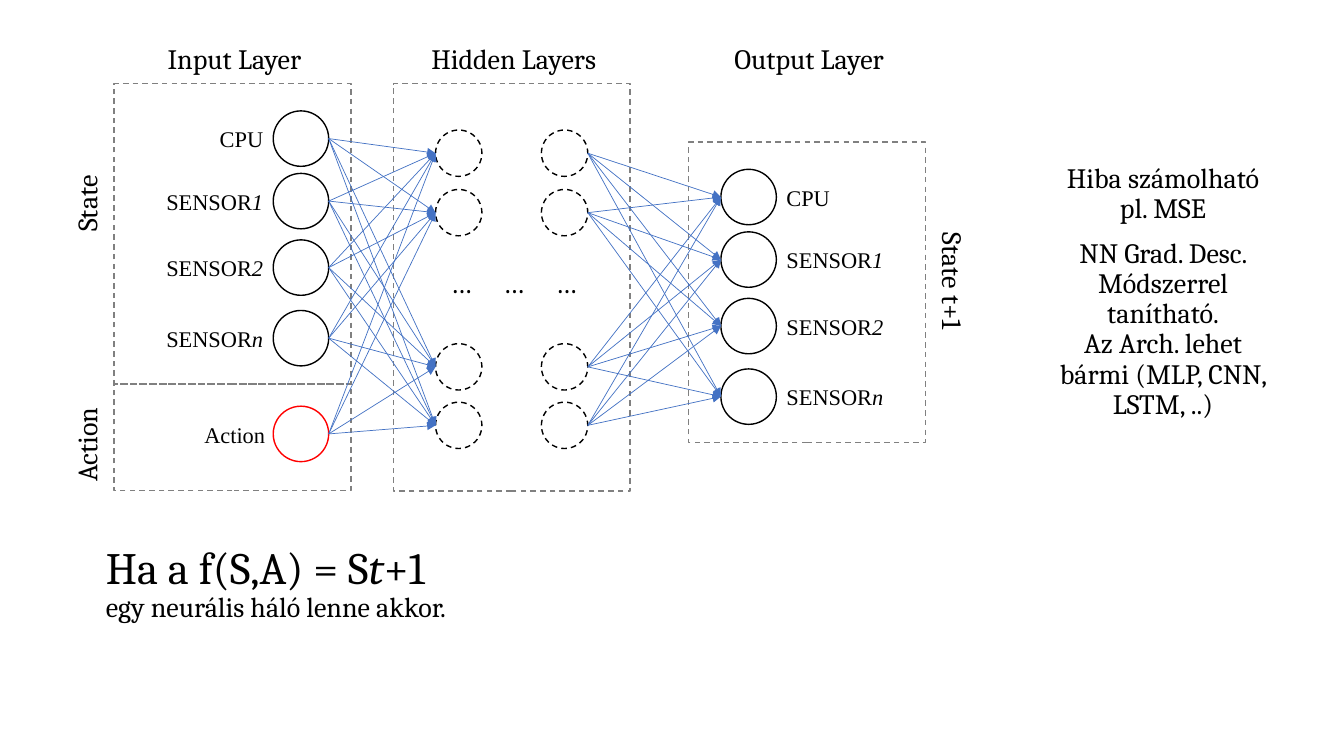
from lxml import etree
from pptx import Presentation
from pptx.dml.color import RGBColor
from pptx.enum.dml import MSO_LINE
from pptx.enum.shapes import MSO_CONNECTOR, MSO_SHAPE
from pptx.enum.text import MSO_ANCHOR, MSO_AUTO_SIZE, PP_ALIGN
from pptx.oxml.ns import qn
from pptx.util import Pt

PX = 9144
COLORS = {"ink": "000000", "action": "FF0000", "frame": "808080", "link": "4472C4"}
SERIF, TIMES = "Cambria", "Times New Roman"
LEFT, CENTER, RIGHT = PP_ALIGN.LEFT, PP_ALIGN.CENTER, PP_ALIGN.RIGHT
TOP, MIDDLE = MSO_ANCHOR.TOP, MSO_ANCHOR.MIDDLE
OVAL, RECT = MSO_SHAPE.OVAL, MSO_SHAPE.RECTANGLE
DASH, STRAIGHT = MSO_LINE.DASH, MSO_CONNECTOR.STRAIGHT

NODE, HIDDEN_NODE = 55, 46
NODE_TOPS = (27, 89, 155, 225)
HIDDEN_TOPS = (46, 105, 258, 316)
STATE_LABELS = (
    [("CPU", False)],
    [("SENSOR", False), ("1", True)],
    [("SENSOR", False), ("2", True)],
    [("SENSOR", False), ("n", True)],
)


def rgb(name):
    """Return a named colour."""
    return RGBColor.from_string(COLORS[name])


def emu(*lengths):
    """Turn px lengths into EMU."""
    return [n * PX for n in lengths]


def write(sp, paragraphs, size=20, font=SERIF, align=CENTER, anchor=MIDDLE):
    """Fill a shape with paragraphs of (text, italic[, size]) runs."""
    tf = sp.text_frame
    tf.word_wrap = True
    tf.auto_size = MSO_AUTO_SIZE.NONE
    tf.vertical_anchor = anchor
    tf.margin_left, tf.margin_top, tf.margin_right, tf.margin_bottom = emu(12, 8, 8, 4)
    for i, runs in enumerate(paragraphs):
        p = tf.add_paragraph() if i else tf.paragraphs[0]
        p.alignment = align
        p.line_spacing = 0.9
        p.space_before = Pt(10 if i else 0)
        for text, italic, *own_size in runs:
            points = own_size[0] if own_size else size
            if text == "\n":
                p.add_line_break()
                etree.SubElement(p._p[-1], qn("a:rPr"), sz=str(points * 100))
                continue
            r = p.add_run()
            r.text = text
            r.font.size = Pt(points)
            r.font.name = font
            r.font.italic = italic
            r.font.color.rgb = rgb("ink")


def add_text(s, box, paragraphs, rotation=0, **style):
    """Add a text box, optionally rotated."""
    sp = s.shapes.add_textbox(*emu(*box))
    sp.rotation = rotation
    write(sp, paragraphs, **style)


def add_outline(s, kind, box, color, dashed=False):
    """Add an unfilled outlined shape."""
    sp = s.shapes.add_shape(kind, *emu(*box))
    sp.shadow.inherit = False
    sp.fill.background()
    sp.line.color.rgb = rgb(color)
    sp.line.width = Pt(1)
    if dashed:
        sp.line.dash_style = DASH
    return sp


def add_frame(s, box):
    """Add the dashed frame of a layer."""
    add_outline(s, RECT, box, "frame", True)


def add_heading(s, box, text):
    """Add a layer heading in a box above the diagram."""
    add_text(s, (box[0], 27, box[2], 62), [[(text, False)]])


def state_nodes(s, box, node_x, label_x, align):
    """Add the framed state nodes with their labels and return the nodes."""
    x, y, w, h = box
    add_frame(s, box)
    nodes = []
    for top, label in zip(NODE_TOPS, STATE_LABELS):
        nodes.append(add_outline(s, OVAL, (x + node_x, y + top, NODE, NODE), "ink"))
        add_text(s, (x + label_x, y + top + 11, 139, 33), [label],
                 size=16, font=TIMES, align=align)
    return nodes


def input_layer(s, box):
    """Add the state and action inputs and return their nodes."""
    x, y, w, h = box
    state_h = 298
    action_y = y + state_h
    add_heading(s, box, "Input Layer")
    nodes = state_nodes(s, (x, y, w, state_h), 158, 17, RIGHT)
    add_frame(s, (x, action_y, w, h - state_h))
    nodes.append(add_outline(s, OVAL, (x + 158, action_y + 22, NODE, NODE), "action"))
    add_text(s, (x + 31, action_y + 33, 127, 33), [[("Action", False)]],
             size=16, font=TIMES, align=RIGHT)
    for text, top in (("State", y + 97), ("Action", action_y + 38)):
        add_text(s, (x - 81, top, 113, 48), [[(text, False)]], 270, anchor=TOP)
    return nodes


def hidden_layers(s, box):
    """Add two hidden columns with ellipses and return both columns."""
    x, y, w, h = box
    add_heading(s, box, "Hidden Layers")
    add_frame(s, box)
    for i in range(3):
        add_text(s, (x + 42 + 52 * i, y + 38, 47, 319), [[("…", False)]])
    return [
        [add_outline(s, OVAL, (x + dx, y + top, HIDDEN_NODE, HIDDEN_NODE), "ink", True)
         for top in HIDDEN_TOPS]
        for dx in (42, 147)
    ]


def output_layer(s, box):
    """Add the next-state outputs and return their nodes."""
    x, y, w, h = box
    add_heading(s, box, "Output Layer")
    add_text(s, (x + 184, y + 112, 151, 48), [[("State t+1", False)]], 90, anchor=TOP)
    return state_nodes(s, box, 32, 85, LEFT)


def connect_layers(s, sources, targets):
    """Draw an arrow from every source node to every target node."""
    for a in sources:
        for b in targets:
            c = s.shapes.add_connector(STRAIGHT, a.left + a.width, a.top + a.height // 2,
                                       b.left, b.top + b.height // 2)
            c.line.color.rgb = rgb("link")
            c.line.width = Pt(0.5)
            etree.SubElement(c.line._get_or_add_ln(), qn("a:tailEnd"), type="triangle")
            etree.SubElement(c._element.spPr, qn("a:effectLst"))


def remarks(s, box):
    """Add the remarks beside the network."""
    add_text(s, box, [
        [("Hiba számolható pl. MSE", False)],
        [("NN Grad. Desc. Módszerrel tanítható.", False), ("\n", False),
         ("Az Arch. lehet bármi (MLP, CNN, LSTM, ..)", False)],
    ])


def title(s, box):
    """Place and fill the title placeholder."""
    sp = s.shapes.title
    sp.left, sp.top, sp.width, sp.height = emu(*box)
    write(sp, [[("Ha a f(S,A) = S", False), ("t", True), ("+1", False), ("\n", False),
                ("egy neurális háló lenne akkor.", False, 20)]],
          size=32, align=LEFT, anchor=TOP)


def main():
    """Build and save the slide."""
    prs = Presentation()
    prs.slide_width, prs.slide_height = emu(1333, 750)
    s = prs.slides.add_slide(prs.slide_layouts[5])
    title(s, (93, 533, 1148, 100))
    inputs = input_layer(s, (113, 83, 235, 404))
    first, last = hidden_layers(s, (390, 83, 235, 404))
    outputs = output_layer(s, (683, 141, 235, 298))
    connect_layers(s, inputs, first)
    connect_layers(s, last, outputs)
    remarks(s, (1034, 137, 235, 302))
    prs.save("out.pptx")


if __name__ == "__main__":
    main()
